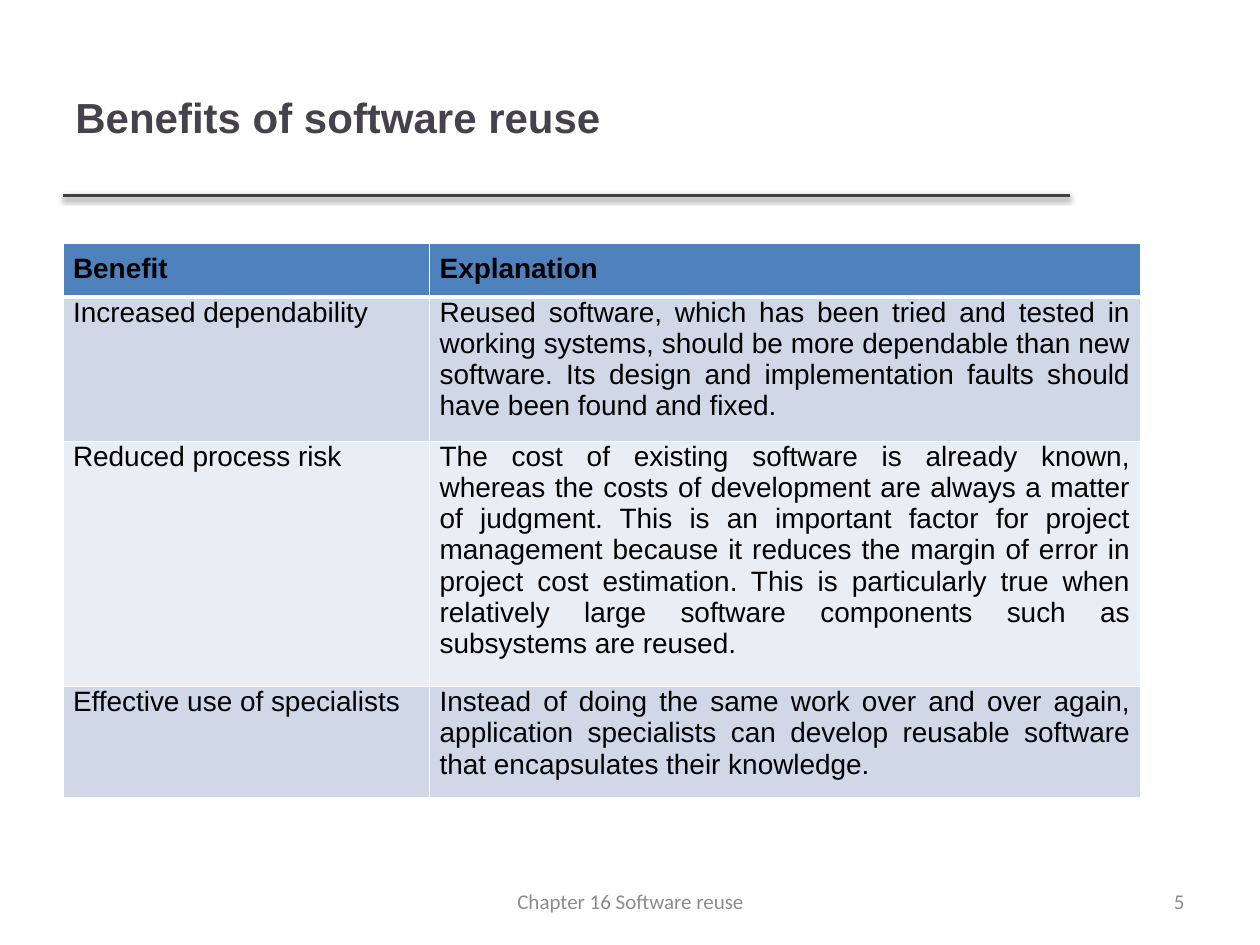
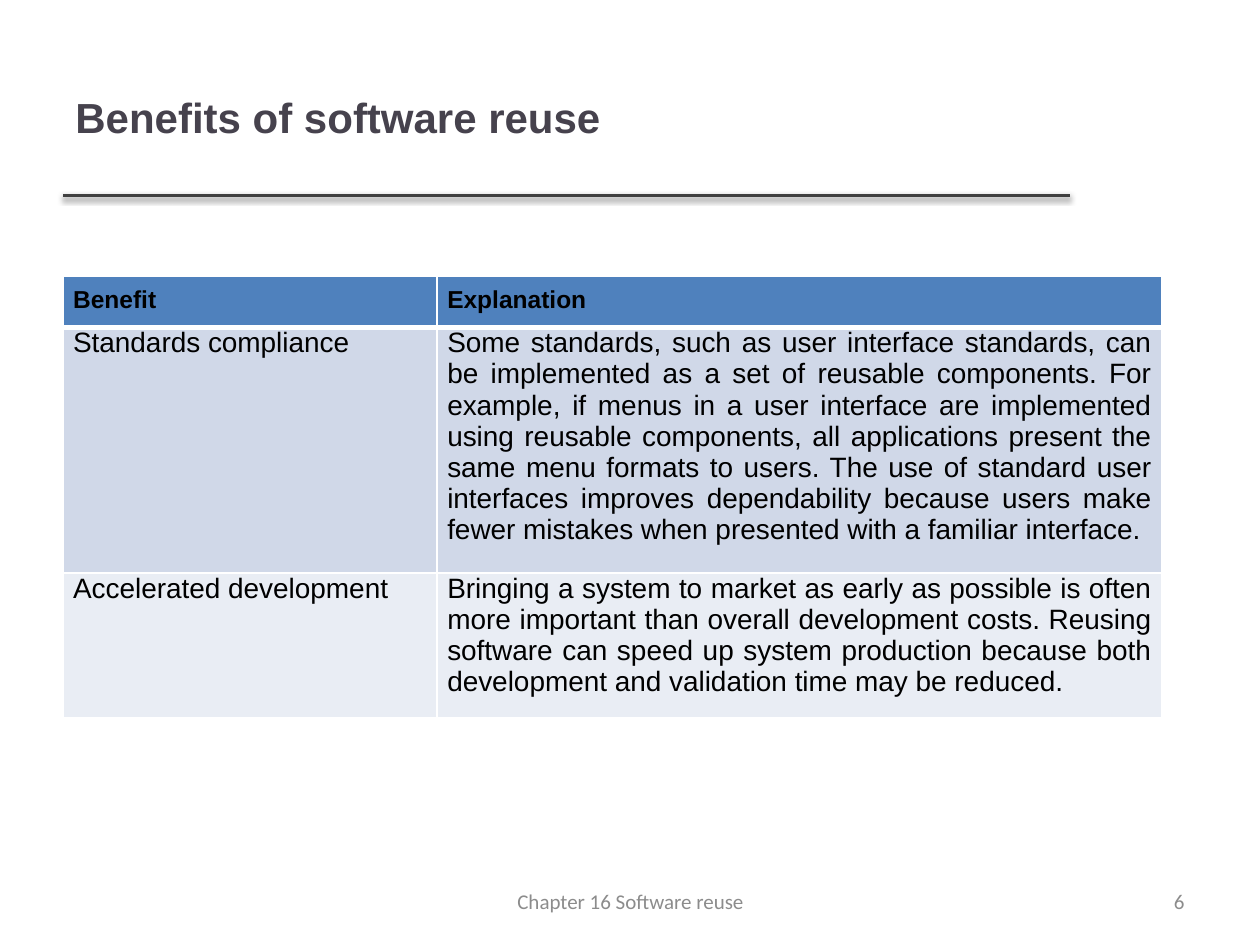
from dataclasses import dataclass

from lxml import etree
from pptx import Presentation
from pptx.dml.color import RGBColor
from pptx.enum.shapes import MSO_CONNECTOR
from pptx.enum.text import MSO_ANCHOR, PP_ALIGN
from pptx.oxml import parse_xml
from pptx.oxml.ns import nsdecls, qn
from pptx.slide import Slide
from pptx.table import _Cell
from pptx.text.text import TextFrame
from pptx.util import Inches, Pt

HEADING = "Benefits of software reuse"
FOOTER = "Chapter 16 Software reuse"
HEADER_ROW = ("Benefit", "Explanation")

HEADING_COLOR = "46424D"
RULE_COLOR = "404040"
FOOTER_COLOR = "8C8C8C"
TEXT_COLOR = "000000"
BORDER_COLOR = "FFFFFF"
HEADER_FILL = "4F81BD"
BAND_FILLS = ("D0D8E8", "E9EDF4")

LEFT = 0.5
ROW_HEIGHT = 0.41
CELL_INSET = 0.08


@dataclass(frozen=True)
class TextStyle:
    size: int
    color: str
    font: str = "Arial"
    bold: bool = False
    align: PP_ALIGN = PP_ALIGN.LEFT


@dataclass(frozen=True)
class Box:
    left: float
    top: float
    width: float
    height: float


@dataclass(frozen=True)
class BenefitsPage:
    number: int
    top: float
    height: float
    column_widths: tuple[float, float]
    header_size: int
    benefits: tuple[tuple[str, str], ...]


HEADING_STYLE = TextStyle(24, HEADING_COLOR, bold=True)
BODY_STYLE = TextStyle(16, TEXT_COLOR, align=PP_ALIGN.JUSTIFY)
FOOTER_STYLE = TextStyle(12, FOOTER_COLOR, "Calibri", align=PP_ALIGN.CENTER)
NUMBER_STYLE = TextStyle(12, FOOTER_COLOR, "Calibri", align=PP_ALIGN.RIGHT)

HEADING_BOX = Box(LEFT, 0.3, 7.98, 1.25)
FOOTER_BOX = Box(3.42, 6.95, 3.17, 0.4)
NUMBER_BOX = Box(7.17, 6.95, 2.33, 0.4)

PAGES = (
    BenefitsPage(5, 1.93, 4.4, (2.91, 5.64), 16, (
        ("Increased dependability",
         "Reused software, which has been tried and tested in working systems, "
         "should be more dependable than new software. Its design and "
         "implementation faults should have been found and fixed."),
        ("Reduced process risk",
         "The cost of existing software is already known, whereas the costs of "
         "development are always a matter of judgment. This is an important "
         "factor for project management because it reduces the margin of error "
         "in project cost estimation. This is particularly true when relatively "
         "large software components such as subsystems are reused."),
        ("Effective use of specialists",
         "Instead of doing the same work over and over again, application "
         "specialists can develop reusable software that encapsulates their "
         "knowledge."),
    )),
    BenefitsPage(6, 2.19, 3.5, (2.97, 5.75), 14, (
        ("Standards compliance",
         "Some standards, such as user interface standards, can be implemented "
         "as a set of reusable components. For example, if menus in a user "
         "interface are implemented using reusable components, all applications "
         "present the same menu formats to users. The use of standard user "
         "interfaces improves dependability because users make fewer mistakes "
         "when presented with a familiar interface."),
        ("Accelerated development",
         "Bringing a system to market as early as possible is often more "
         "important than overall development costs. Reusing software can speed "
         "up system production because both development and validation time may "
         "be reduced."),
    )),
)


def rgb(color: str) -> RGBColor:
    return RGBColor.from_string(color)


def write(frame: TextFrame, text: str, style: TextStyle) -> None:
    frame.text = text
    paragraph = frame.paragraphs[0]
    paragraph.alignment = style.align
    font = paragraph.runs[0].font
    font.name = style.font
    font.size = Pt(style.size)
    font.bold = style.bold
    font.color.rgb = rgb(style.color)


def add_text(slide: Slide, box: Box, text: str, style: TextStyle) -> None:
    frame = slide.shapes.add_textbox(
        Inches(box.left), Inches(box.top), Inches(box.width), Inches(box.height)
    ).text_frame
    frame.word_wrap = True
    frame.vertical_anchor = MSO_ANCHOR.MIDDLE
    write(frame, text, style)


def add_heading_rule(slide: Slide) -> None:
    """Draw the line below the heading, with its soft shadow."""
    rule = slide.shapes.add_connector(
        MSO_CONNECTOR.STRAIGHT, Inches(LEFT), Inches(1.55), Inches(8.49), Inches(1.55)
    )
    rule.line.color.rgb = rgb(RULE_COLOR)
    rule.line.width = Pt(2)
    rule._element.spPr.append(parse_xml(
        f'<a:effectLst {nsdecls("a")}>'
        f'<a:outerShdw blurRad="{Pt(3.1)}" dist="{Pt(1.6)}" dir="5400000" rotWithShape="0">'
        '<a:srgbClr val="000000"><a:alpha val="38000"/></a:srgbClr>'
        '</a:outerShdw></a:effectLst>'
    ))


def add_border(cell: _Cell, side: str, points: int) -> None:
    line = etree.SubElement(
        cell._tc.get_or_add_tcPr(), qn(f"a:ln{side}"), w=str(Pt(points))
    )
    fill = etree.SubElement(line, qn("a:solidFill"))
    etree.SubElement(fill, qn("a:srgbClr"), val=BORDER_COLOR)


def fill_cell(cell: _Cell, row: int, text: str, style: TextStyle) -> None:
    """Write and paint a cell; row 0 is the header, with a thick line below."""
    thick_side = {0: "B", 1: "T"}.get(row)
    for side in "LRTB":
        add_border(cell, side, 3 if side == thick_side else 1)
    cell.fill.solid()
    cell.fill.fore_color.rgb = rgb(
        BAND_FILLS[(row - 1) % len(BAND_FILLS)] if row else HEADER_FILL
    )
    cell.margin_left = cell.margin_right = cell.margin_bottom = Inches(CELL_INSET)
    cell.margin_top = Inches(0 if row else CELL_INSET)
    write(cell.text_frame, text, style)


def add_benefits_table(slide: Slide, page: BenefitsPage) -> None:
    rows = (HEADER_ROW, *page.benefits)
    header_style = TextStyle(
        page.header_size, TEXT_COLOR, bold=True, align=PP_ALIGN.JUSTIFY
    )
    frame = slide.shapes.add_table(
        len(rows), len(HEADER_ROW), Inches(LEFT), Inches(page.top),
        Inches(sum(page.column_widths)), Inches(page.height),
    )
    table = frame.table
    for column, width in zip(table.columns, page.column_widths):
        column.width = Inches(width)
    for row, texts in enumerate(rows):
        table.rows[row].height = Inches(ROW_HEIGHT)
        for column, text in enumerate(texts):
            fill_cell(
                table.cell(row, column), row, text, BODY_STYLE if row else header_style
            )
    frame.height = Inches(page.height)


def main() -> None:
    deck = Presentation()
    deck.slide_width, deck.slide_height = Inches(10), Inches(7.5)
    for page in PAGES:
        slide = deck.slides.add_slide(deck.slide_layouts[6])
        add_heading_rule(slide)
        add_text(slide, HEADING_BOX, HEADING, HEADING_STYLE)
        add_benefits_table(slide, page)
        add_text(slide, NUMBER_BOX, str(page.number), NUMBER_STYLE)
        add_text(slide, FOOTER_BOX, FOOTER, FOOTER_STYLE)
    deck.save("out.pptx")


if __name__ == "__main__":
    main()
